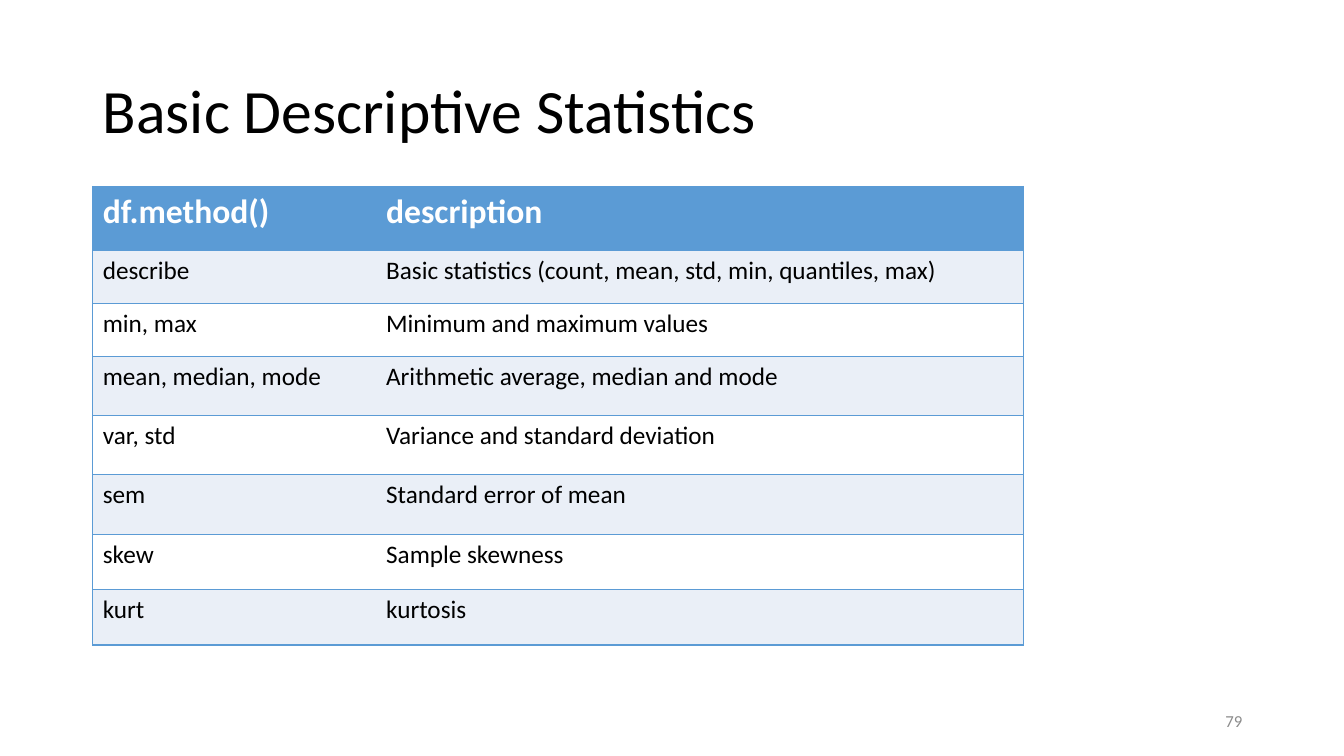
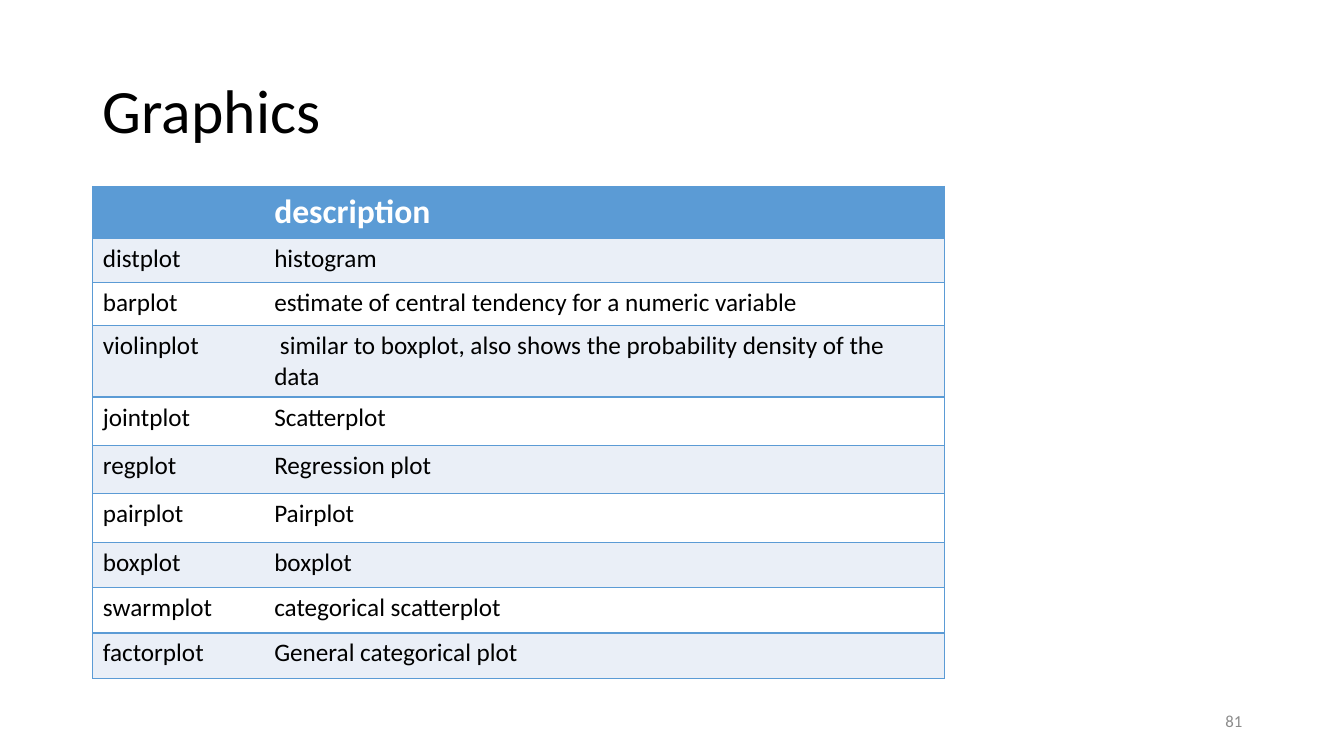
from lxml.etree import SubElement
from pptx import Presentation
from pptx.dml.color import RGBColor
from pptx.enum.text import MSO_ANCHOR, PP_ALIGN
from pptx.oxml.ns import qn
from pptx.util import Inches, Pt

BLACK = RGBColor(0x00, 0x00, 0x00)
WHITE = RGBColor(0xFF, 0xFF, 0xFF)
GRAY = RGBColor(0x8C, 0x8C, 0x8C)
BLUE = RGBColor(0x5B, 0x9B, 0xD5)
PALE_BLUE = RGBColor(0xEA, 0xEF, 0xF7)
FONT = "Calibri"
TITLE_ONLY = 5

TITLE_BOX = (0.92, 0.4, 11.5, 1.45)
NUMBER_BOX = (9.42, 6.95, 3, 0.4)
TABLE_LEFT, TABLE_TOP = 0.92, 1.85

STATISTICS = [
    ("df.method()", "description"),
    ("describe", "Basic statistics (count, mean, std, min, quantiles, max)"),
    ("min, max", "Minimum and maximum values"),
    ("mean, median, mode", "Arithmetic average, median and mode"),
    ("var, std", "Variance and standard deviation"),
    ("sem", "Standard error of mean"),
    ("skew", "Sample skewness"),
    ("kurt", "kurtosis"),
]
STATISTICS_COLUMNS = [2.81, 6.42]
STATISTICS_ROWS = [0.63, 0.53, 0.53, 0.58, 0.59, 0.59, 0.55, 0.55]

PLOTS = [
    ("", "description"),
    ("distplot", "histogram"),
    ("barplot", "estimate of central tendency for a numeric variable"),
    ("violinplot", " similar to boxplot, also shows the probability density of the data"),
    ("jointplot", "Scatterplot"),
    ("regplot", "Regression plot"),
    ("pairplot", "Pairplot"),
    ("boxplot", "boxplot"),
    ("swarmplot", "categorical scatterplot"),
    ("factorplot", "General categorical plot"),
]
PLOTS_COLUMNS = [1.7, 6.75]
PLOTS_ROWS = [0.52, 0.43, 0.43, 0.71, 0.48, 0.48, 0.48, 0.45, 0.45, 0.45]


def style_paragraph(paragraph, size, color, bold=False, align=PP_ALIGN.LEFT):
    paragraph.alignment = align
    font = paragraph.font
    font.name, font.size, font.bold = FONT, Pt(size), bold
    font.color.rgb = color


def set_borders(cell, visible_sides):
    """Draw blue lines on the given sides (of L, R, T, B) and none on the others."""
    properties = cell._tc.get_or_add_tcPr()
    for side in "LRTB":
        border = SubElement(properties, qn(f"a:ln{side}"), w=str(Pt(1)))
        if side in visible_sides:
            fill = SubElement(border, qn("a:solidFill"))
            SubElement(fill, qn("a:srgbClr"), val=str(BLUE))
        else:
            SubElement(border, qn("a:noFill"))


def add_title(slide, text, box):
    title = slide.shapes.title
    title.left, title.top, title.width, title.height = map(Inches, box)
    frame = title.text_frame
    frame.text = text
    frame.vertical_anchor = MSO_ANCHOR.MIDDLE
    paragraph = frame.paragraphs[0]
    paragraph.line_spacing = 0.9
    style_paragraph(paragraph, 44, BLACK)


def add_slide_number(slide, number, box):
    frame = slide.shapes.add_textbox(*map(Inches, box)).text_frame
    frame.word_wrap = True
    frame.vertical_anchor = MSO_ANCHOR.MIDDLE
    frame.text = str(number)
    style_paragraph(frame.paragraphs[0], 12, GRAY, align=PP_ALIGN.RIGHT)


def add_method_table(slide, entries, column_widths, row_heights, left, top):
    table = slide.shapes.add_table(
        len(entries), len(column_widths), Inches(left), Inches(top),
        Inches(sum(column_widths)), Inches(sum(row_heights))).table
    table.horz_banding = False
    for column, width in zip(table.columns, column_widths):
        column.width = Inches(width)

    for row_index, (entry, height) in enumerate(zip(entries, row_heights)):
        table.rows[row_index].height = Inches(height)
        is_header = row_index == 0
        band = BLUE if is_header else PALE_BLUE if row_index % 2 else WHITE
        for column_index, text in enumerate(entry):
            cell = table.cell(row_index, column_index)
            set_borders(cell, "LTB" if column_index == 0 else "RTB")
            cell.fill.solid()
            cell.fill.fore_color.rgb = band
            cell.text = text
            style_paragraph(cell.text_frame.paragraphs[0],
                            24 if is_header else 18,
                            WHITE if is_header else BLACK, bold=is_header)


def add_table_slide(deck, title, number, entries, column_widths, row_heights):
    slide = deck.slides.add_slide(deck.slide_layouts[TITLE_ONLY])
    add_title(slide, title, TITLE_BOX)
    add_slide_number(slide, number, NUMBER_BOX)
    add_method_table(slide, entries, column_widths, row_heights, TABLE_LEFT, TABLE_TOP)


def main():
    deck = Presentation()
    deck.slide_width, deck.slide_height = Inches(13.33), Inches(7.5)
    add_table_slide(deck, "Basic Descriptive Statistics", 79,
                    STATISTICS, STATISTICS_COLUMNS, STATISTICS_ROWS)
    add_table_slide(deck, "Graphics", 81, PLOTS, PLOTS_COLUMNS, PLOTS_ROWS)
    deck.save("out.pptx")


if __name__ == "__main__":
    main()
